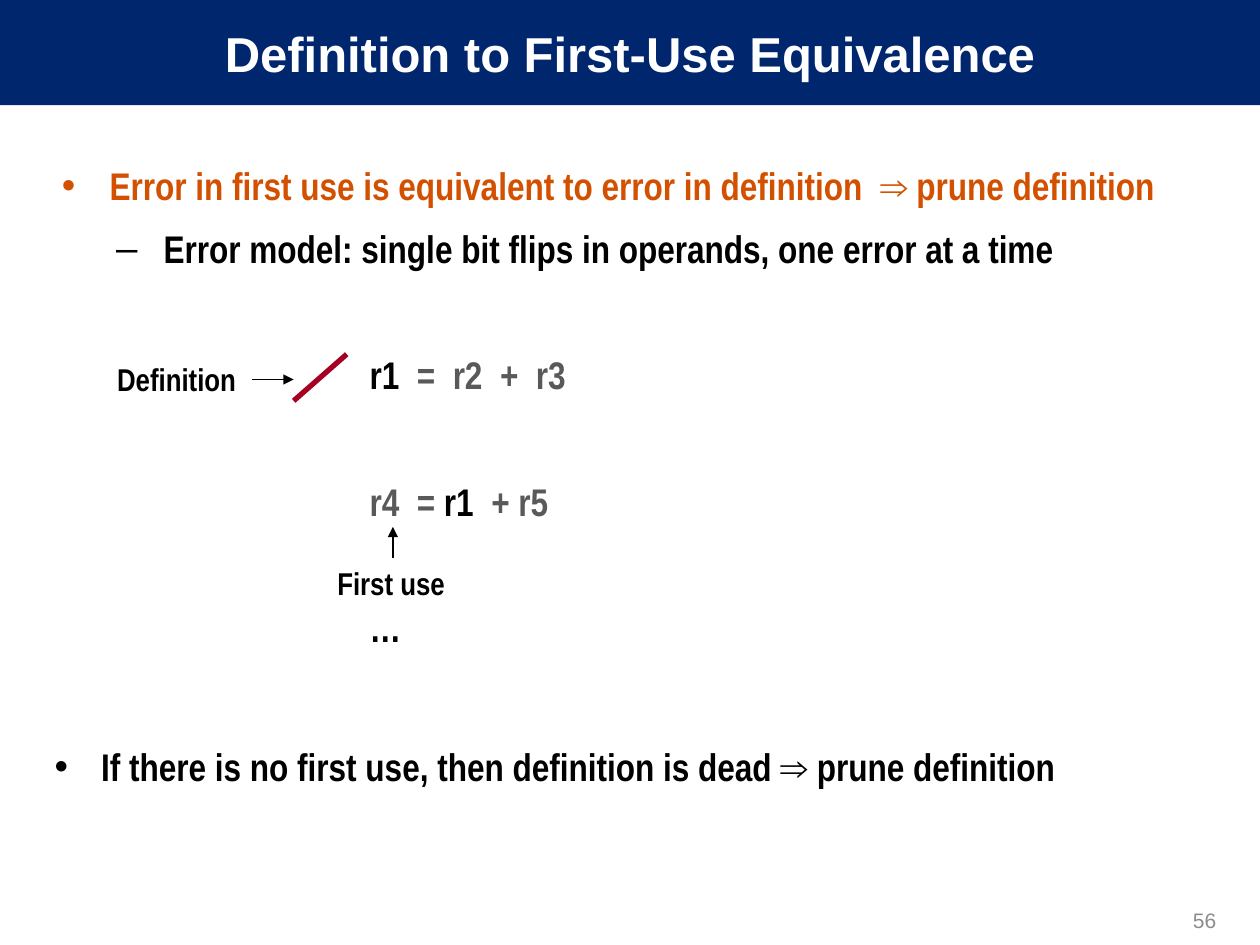
"""Build a slide on definition to first-use equivalence."""
from lxml import etree
from pptx import Presentation, util as u
from pptx.dml.color import RGBColor
from pptx.enum import shapes, text
from pptx.oxml.ns import qn

NAVY, WHITE, BLACK = "00266E", "FFFFFF", "000000"
ORANGE, RED, GREY, PALE = "D25000", "A50021", "595959", "8C8C8C"

TITLE = "Definition to First-Use Equivalence"
NUMBER = "56"
# bullet, left margin (cm), hanging indent (cm), space before (pt), spans
BODY = [
    ("•", 1.11, 0.96, 12.2,
     [("Error in first use is equivalent to error in definition  ⇒ prune definition", ORANGE)]),
    ("–", 2.2, 0.96, 4.4,
     [("Error model: single bit flips in operands, one error at a time", BLACK)]),
    (None, 6.35, 0, 40.4, [("r1  ", BLACK), ("=  r2  +  r3", GREY)]),
    (None, 6.35, 0, 40.4, [("r4  = ", GREY), ("r1  ", BLACK), ("+ r5", GREY)]),
    (None, 6.35, 0, 40.4, [("…", BLACK)]),
    ("•", 0.94, 0.94, 48.2,
     [("If there is no first use, then definition is dead ⇒ prune definition", BLACK)]),
]
LABELS = [("Definition", (2.11, 7.14, 3.53, 1.02)), ("First use", (6.55, 11.25, 2.74, 1.02))]


def color(value):
    return RGBColor.from_string(value)


def style(para, name, size, value, bold=True):
    para.font.name, para.font.size, para.font.bold = name, u.Pt(size), bold
    para.font.color.rgb = color(value)


def add_box(page, place):
    box = page.shapes.add_textbox(*map(u.Cm, place))
    box.text_frame.word_wrap = True
    return box


def add_label(page, words, place, name, size, value, bold=True):
    box = add_box(page, place)
    para = box.text_frame.paragraphs[0]
    para.text = words
    style(para, name, size, value, bold)
    return box


def add_line(page, start, end, value, width, arrow=False):
    line = page.shapes.add_connector(
        shapes.MSO_CONNECTOR.STRAIGHT, *map(u.Cm, start + end))
    line.line.color.rgb = color(value)
    line.line.width = u.Pt(width)
    if arrow:
        etree.SubElement(line.line._get_or_add_ln(), qn("a:tailEnd"), type="triangle")
    etree.SubElement(line._element.spPr, qn("a:effectLst"))
    return line


def add_header(page, width):
    header = page.shapes.add_shape(
        shapes.MSO_SHAPE.RECTANGLE, 0, 0, width, u.Cm(2.12))
    header.shadow.inherit = False
    header.fill.solid()
    header.fill.fore_color.rgb = color(NAVY)
    header.line.fill.background()
    header.text_frame.vertical_anchor = text.MSO_ANCHOR.MIDDLE
    para = header.text_frame.paragraphs[0]
    para.text = TITLE
    para.alignment = text.PP_ALIGN.CENTER
    style(para, "Arial", 28, WHITE)


def add_body(page):
    frame = add_box(page, (0.85, 2.96, 23.92, 13.34)).text_frame
    for index, (bullet, margin, hang, before, spans) in enumerate(BODY):
        para = frame.add_paragraph() if index else frame.paragraphs[0]
        props = para._p.get_or_add_pPr()
        props.set("marL", str(u.Cm(margin)))
        props.set("indent", str(-u.Cm(hang)))
        if bullet:
            etree.SubElement(props, qn("a:buFont"), typeface="Arial")
            etree.SubElement(props, qn("a:buChar"), char=bullet)
        para.line_spacing = 1.2
        para.space_before = u.Pt(before)
        style(para, "Arial Narrow", 22, spans[0][1])
        for words, value in spans:
            span = para.add_run()
            span.text = words
            span.font.color.rgb = color(value)


def main():
    deck = Presentation()
    deck.slide_width, deck.slide_height = u.Cm(25.4), u.Cm(19.05)
    page = deck.slides.add_slide(deck.slide_layouts[6])
    add_header(page, deck.slide_width)
    add_body(page)

    number = add_label(page, NUMBER, (18.85, 18.03, 5.92, 1.02), "Arial", 12, PALE, False)
    number.text_frame.vertical_anchor = text.MSO_ANCHOR.MIDDLE
    number.text_frame.paragraphs[0].alignment = text.PP_ALIGN.RIGHT

    _, first_use = [add_label(page, words, place, "Arial Narrow", 18, BLACK)
                    for words, place in LABELS]
    add_line(page, (5.92, 8.08), (6.99, 7.14), RED, 3)
    add_line(page, (5.08, 7.65), (5.92, 7.65), BLACK, 0.75, arrow=True)
    pointer = add_line(page, (7.92, 11.25), (7.92, 10.62), BLACK, 0.75, arrow=True)
    pointer.begin_connect(first_use, 0)
    deck.save("out.pptx")


if __name__ == "__main__":
    main()
